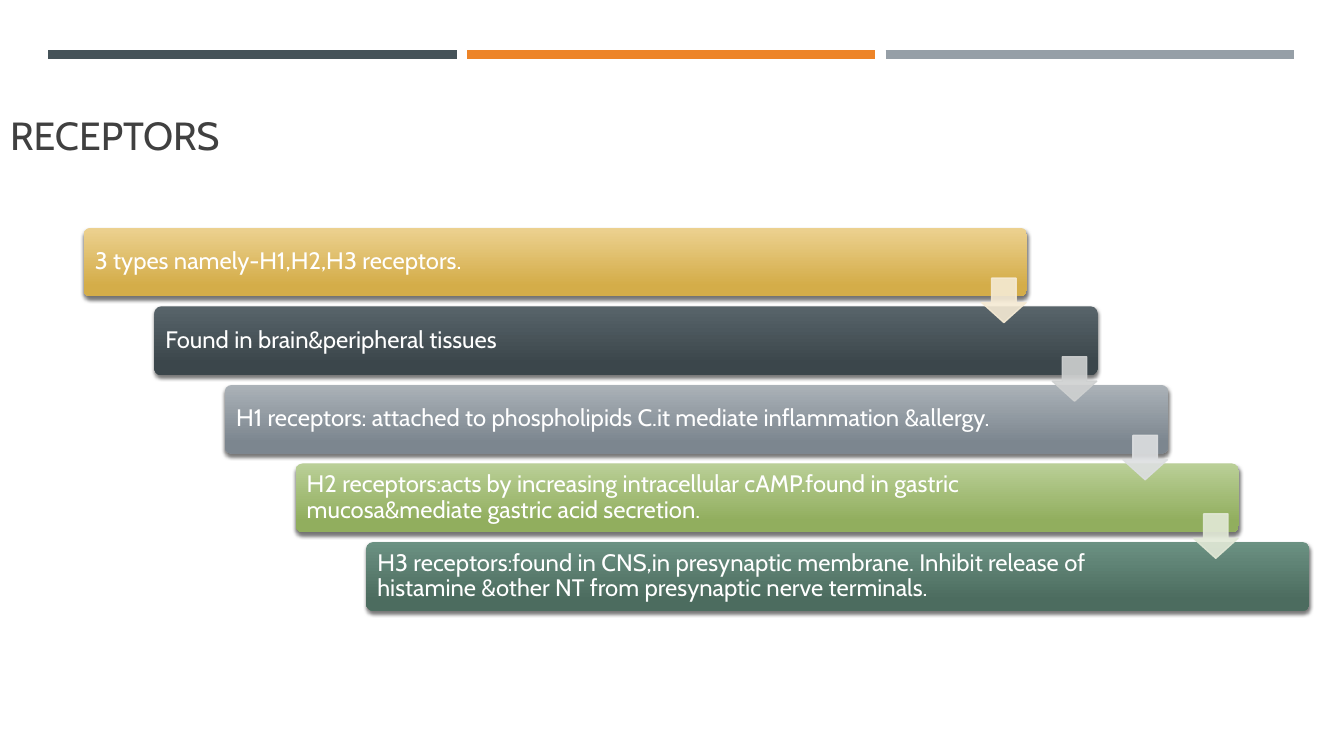
"""Build the receptors slide: a staircase of five bars joined by arrows."""
from lxml.etree import SubElement as Sub
from pptx import Presentation
from pptx.dml.color import RGBColor as Rgb
from pptx.enum.shapes import MSO_CONNECTOR as Link, MSO_SHAPE as Shape
from pptx.enum.text import MSO_ANCHOR as Anchor, MSO_AUTO_SIZE as Fit, PP_ALIGN as Align
from pptx.oxml.ns import qn
from pptx.util import Cm, Pt

FONT = "Cabin"
STEP_X, STEP_Y = 1.78, 1.98
COLORS = {
    "title": "404040",
    "text": "FFFFFF",
    "shadow": "000000",
    "rules": ["465359", "ED8428", "969FA7"],
    "bars": [("ECD190", "D4AD49"), ("58646A", "3B464B"), ("ABB2B8", "7C868F"),
             ("BACF97", "91AE5E"), ("6B9182", "4C6C5F")],
    "arrows": ["F5EAD4", "CFD1D1", "DDDFE1", "E2E9D7"],
}
FACTS = [
    "3 types namely-H1,H2,H3 receptors.",
    "Found in brain&peripheral tissues",
    "H1 receptors: attached to phospholipids C.it mediate inflammation &allergy.",
    "H2 receptors:acts by increasing intracellular cAMP.found in gastric "
    "mucosa&mediate gastric acid secretion.",
    "H3 receptors:found in CNS,in presynaptic membrane. Inhibit release of "
    "histamine &other NT from presynaptic nerve terminals.",
]


def set_font(para, size, color):
    for run in para.runs:
        run.font.name = FONT
        run.font.size = Pt(size)
        run.font.color.rgb = Rgb.from_string(color)


def add_alpha(fill):
    for tint in fill.iter(qn("a:srgbClr")):
        Sub(tint, qn("a:alpha"), val="90000")


def add_shadow(shape):
    shape.shadow.inherit = False
    effects = shape._element.spPr.find(qn("a:effectLst"))
    outer = Sub(effects, qn("a:outerShdw"), blurRad=str(Pt(3)), dist=str(Pt(2)),
                dir="5400000", algn="ctr", rotWithShape="0")
    tint = Sub(outer, qn("a:srgbClr"), val=COLORS["shadow"])
    Sub(tint, qn("a:alpha"), val="55000")


def add_rule(slide, index, color):
    left, top = 1.22 + index * 10.55, 1.37
    rule = slide.shapes.add_connector(
        Link.STRAIGHT, Cm(left), Cm(top), Cm(left + 10.29), Cm(top))
    rule.line.color.rgb = Rgb.from_string(color)
    rule.line.width = Pt(6.5)
    Sub(rule._element.spPr, qn("a:effectLst"))


def set_title(slide, text):
    title = slide.shapes.title
    title.left, title.top = Cm(0), Cm(2.49)
    title.width, title.height = Cm(33.55), Cm(1.63)
    frame = title.text_frame
    frame.text = text
    frame.auto_size = Fit.NONE
    frame.vertical_anchor = Anchor.BOTTOM
    frame.paragraphs[0].alignment = Align.LEFT
    set_font(frame.paragraphs[0], 28, COLORS["title"])


def add_bar(slide, index, text, shades):
    bar = slide.shapes.add_shape(
        Shape.ROUNDED_RECTANGLE, Cm(2.11 + index * STEP_X),
        Cm(5.74 + index * STEP_Y), Cm(23.77), Cm(1.73))
    bar.adjustments[0] = 0.1
    bar.fill.gradient()
    bar.fill.gradient_angle = 270
    for stop, shade, place in zip(bar.fill.gradient_stops, shades, (0, 0.84)):
        stop.color.rgb = Rgb.from_string(shade)
        stop.position = place
    bar.line.fill.background()
    add_shadow(bar)
    frame = bar.text_frame
    frame.text = text
    frame.word_wrap = True
    frame.vertical_anchor = Anchor.MIDDLE
    frame.margin_left = frame.margin_top = frame.margin_bottom = Cm(0.23)
    frame.margin_right = Cm(3.15)
    para = frame.paragraphs[0]
    para.alignment = Align.LEFT
    para.line_spacing = 0.9
    set_font(para, 17, COLORS["text"])


def add_arrow(slide, index, color):
    arrow = slide.shapes.add_shape(
        Shape.DOWN_ARROW, Cm(24.74 + index * STEP_X),
        Cm(7.01 + index * STEP_Y), Cm(1.12), Cm(1.12))
    arrow.adjustments[0], arrow.adjustments[1] = 0.55, 0.45
    arrow.shadow.inherit = False
    arrow.fill.solid()
    arrow.fill.fore_color.rgb = Rgb.from_string(color)
    arrow.line.color.rgb = Rgb.from_string(color)
    arrow.line.width = Pt(1)
    add_alpha(arrow._element.spPr)


def main():
    deck = Presentation()
    deck.slide_width, deck.slide_height = Cm(33.87), Cm(19.05)
    slide = deck.slides.add_slide(deck.slide_layouts[5])
    for index, color in enumerate(COLORS["rules"]):
        add_rule(slide, index, color)
    set_title(slide, "RECEPTORS")
    for index, (text, shades) in enumerate(zip(FACTS, COLORS["bars"])):
        add_bar(slide, index, text, shades)
    for index, color in enumerate(COLORS["arrows"]):
        add_arrow(slide, index, color)
    deck.save("out.pptx")


if __name__ == "__main__":
    main()
